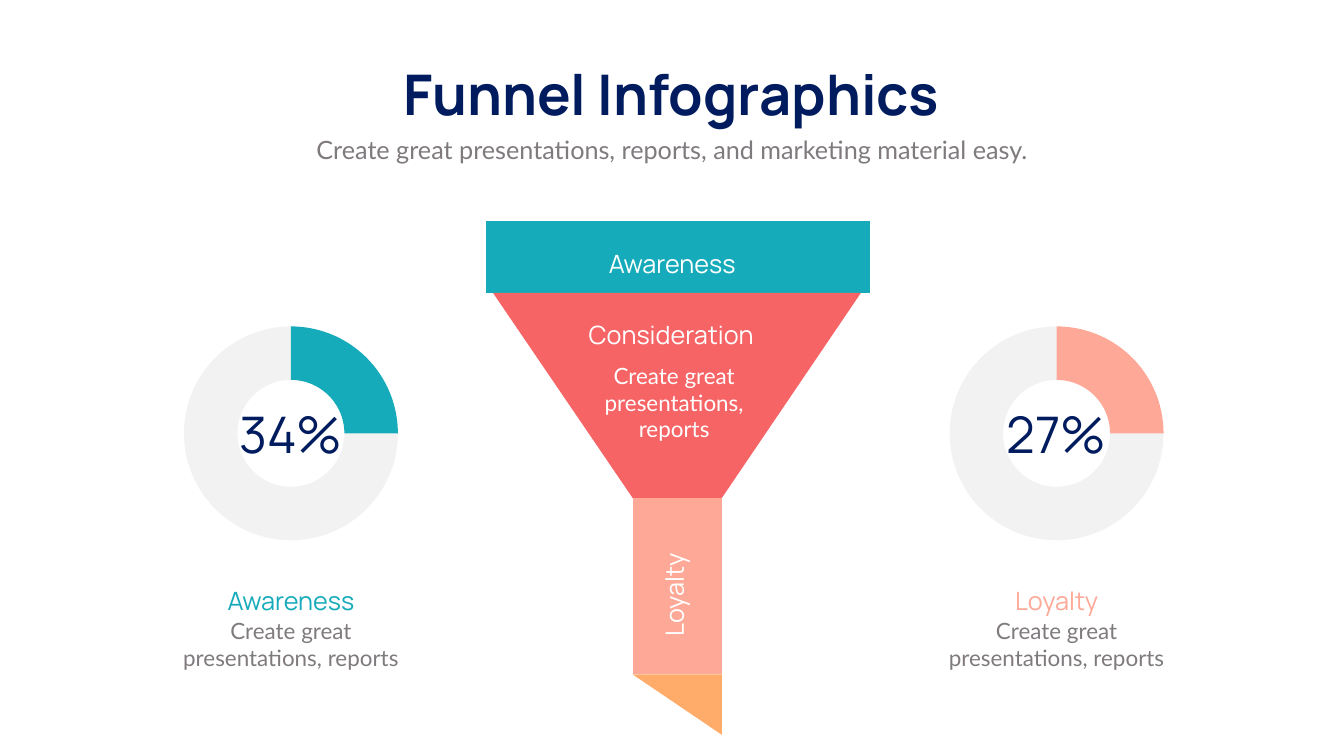
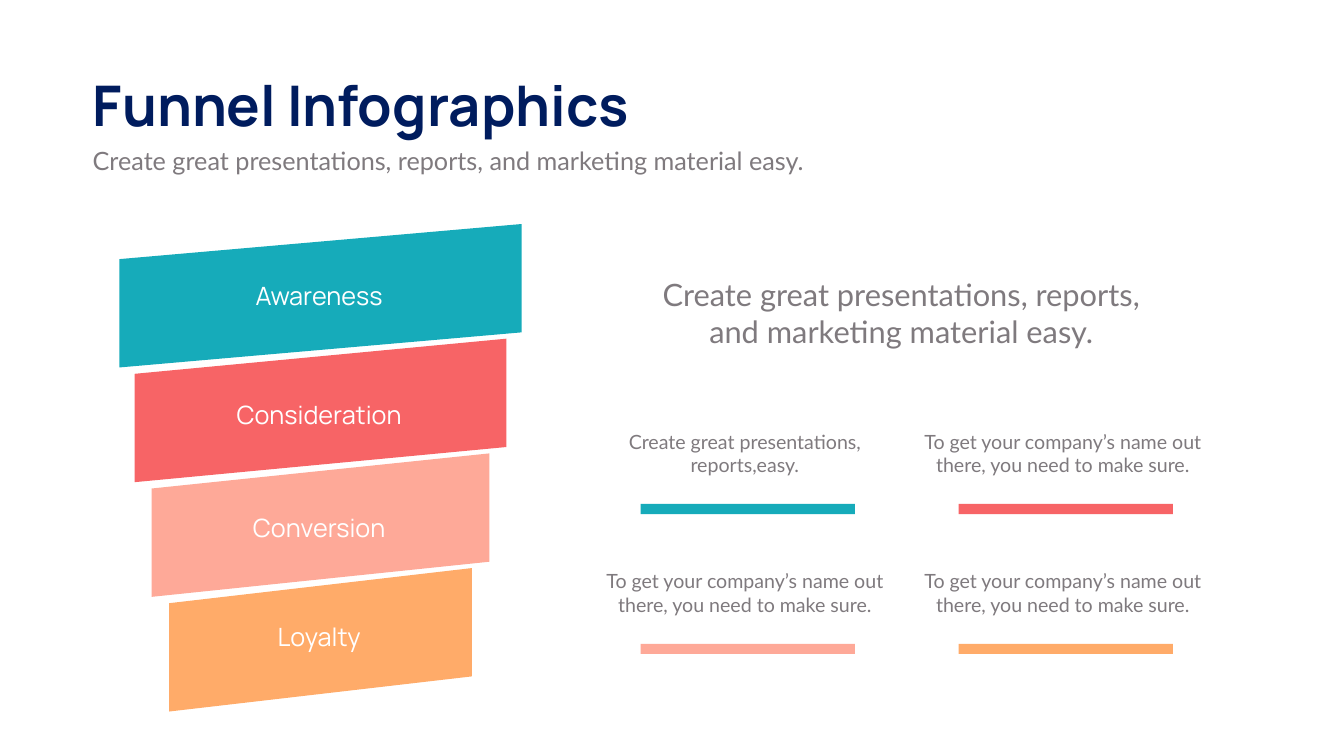
from dataclasses import dataclass

from lxml import etree
from pptx import Presentation
from pptx import util as u
from pptx.chart.data import CategoryChartData
from pptx.dml.color import RGBColor
from pptx.enum import chart, shapes, text
from pptx.oxml.ns import qn

Cm, Pt = u.Cm, u.Pt
CENTER, LEFT = text.PP_ALIGN.CENTER, text.PP_ALIGN.LEFT


@dataclass(frozen=True)
class Theme:
    teal: str = "16ABBA"
    coral: str = "F76466"
    salmon: str = "FEA998"
    orange: str = "FFAB69"
    navy: str = "001C5E"
    grey: str = "7F7A7E"
    track: str = "808080"
    white: str = "FFFFFF"
    heading_font: str = "Manrope"
    body_font: str = "Lato"
    chart_font: str = "Calibri"
    title_size: int = 80
    figure_size: int = 72
    lead_size: int = 44
    label_size: int = 36
    body_size: int = 32
    note_size: int = 28
    chart_size: int = 10


class Deck:
    def __init__(self, theme):
        self.theme = theme
        self.prs = Presentation()
        self.prs.slide_width, self.prs.slide_height = Cm(67.72), Cm(38.1)
        self.s = None

    def slide(self):
        self.s = self.prs.slides.add_slide(self.prs.slide_layouts[5])

    def set_text(self, sp, words, size, color, font, align=CENTER, bold=False,
                 wrap=True, spacing=None):
        tf = sp.text_frame
        tf.word_wrap = wrap
        tf.auto_size = text.MSO_AUTO_SIZE.NONE
        tf.vertical_anchor = text.MSO_ANCHOR.MIDDLE
        p = tf.paragraphs[0]
        p.text = words
        p.alignment = align
        if spacing:
            p.line_spacing = Pt(spacing)
        p.font.name, p.font.size, p.font.bold = font, Pt(size), bold
        p.font.color.rgb = RGBColor.from_string(color)

    def text(self, center, top, width, height, words, size, color, font,
             rotation=0, **style):
        sp = self.s.shapes.add_textbox(Cm(center - width / 2), Cm(top), Cm(width), Cm(height))
        sp.rotation = rotation
        self.set_text(sp, words, size, color, font, **style)

    def label(self, center, top, width, words, color=None, height=1.8, **style):
        t = self.theme
        self.text(center, top, width, height, words, t.label_size,
                  color or t.white, t.heading_font, **style)

    def body(self, center, top, width, height, words, size=None, color=None, **style):
        t = self.theme
        self.text(center, top, width, height, words, size or t.body_size,
                  color or t.grey, t.body_font, **style)

    def header(self, title_left, subtitle_left, top, align):
        t = self.theme
        sp = self.s.shapes.title
        sp.left, sp.top, sp.width, sp.height = Cm(title_left), Cm(top), Cm(29.74), Cm(3.68)
        self.set_text(sp, "Funnel Infographics", t.title_size, t.navy,
                      t.heading_font, align, bold=True, wrap=False)
        width = 52.88
        self.body(subtitle_left + width / 2, top + 3.78, width, 1.8,
                  "Create great presentations, reports, and marketing material easy.",
                  t.label_size, align=align)

    def paint(self, sp, color):
        sp.shadow.inherit = False
        sp.fill.solid()
        sp.fill.fore_color.rgb = RGBColor.from_string(color)
        sp.line.fill.background()

    def polygon(self, points, color):
        corners = [(Cm(x), Cm(y)) for x, y in points]
        builder = self.s.shapes.build_freeform(*corners[0], scale=1.0)
        builder.add_line_segments(corners[1:], close=True)
        self.paint(builder.convert_to_shape(), color)

    def bar(self, left, top, width, height, color):
        sp = self.s.shapes.add_shape(shapes.MSO_SHAPE.RECTANGLE,
                                     Cm(left), Cm(top), Cm(width), Cm(height))
        self.paint(sp, color)

    def doughnut(self, center, top, width, height, color):
        t = self.theme
        data = CategoryChartData()
        data.categories = ["1", "2"]
        data.add_series("Series 1", (25, 75))
        ch = self.s.shapes.add_chart(chart.XL_CHART_TYPE.DOUGHNUT, Cm(center - width / 2),
                                     Cm(top), Cm(width), Cm(height), data).chart
        ch.has_legend = ch.has_title = False
        ch.font.name, ch.font.size = t.chart_font, Pt(t.chart_size)
        ch.font.color.rgb = RGBColor.from_string(t.grey)
        plot = ch.plots[0]
        plot.vary_by_categories = True
        plot._element.find(qn("c:holeSize")).set("val", "80")
        for i, shade in enumerate((color, t.track)):
            fmt = plot.series[0].points[i].format
            fmt.fill.solid()
            fmt.fill.fore_color.rgb = RGBColor.from_string(shade)
            fmt.line.fill.background()
        track = plot.series[0].points[1].format.fill._xPr.find(".//" + qn("a:srgbClr"))
        etree.SubElement(track, qn("a:alpha")).set("val", "10000")


def funnel_with_doughnuts(deck):
    t = deck.theme
    deck.slide()
    deck.header(18.97, 7.42, 2.84, CENTER)

    for center, name, figure, color, label_width, body_width in (
            (14.66, "Awareness", "34%", t.teal, 8.64, 11.84),
            (53.24, "Loyalty", "27%", t.salmon, 7.52, 12.09)):
        deck.doughnut(center, 16.1, 11.84, 11.48, color)
        deck.text(center, 20.17, 10.74, 3.33, figure, t.figure_size, t.navy, t.heading_font)
        deck.label(center, 29.41, label_width, name, color, height=1.75, spacing=40.8)
        deck.body(center, 30.94, body_width, 3, "Create great presentations, reports")

    stem_left, stem_right = 31.88, 36.37
    rim, neck, foot = 14.76, 25.1, 33.99
    deck.polygon([(24.51, 11.12), (43.82, 11.12), (43.82, rim), (24.51, rim)], t.teal)
    deck.polygon([(24.84, rim), (43.38, rim), (stem_right, neck), (stem_left, neck)], t.coral)
    deck.polygon([(stem_left, neck), (stem_right, neck),
                  (stem_right, foot), (stem_left, foot)], t.salmon)
    deck.polygon([(stem_left, foot), (stem_right, foot), (stem_right, 37.03)], t.orange)

    deck.label(33.82, 15.95, 14.71, "Consideration")
    deck.label(33.87, 12.37, 10.54, "Awareness")
    deck.label(33.95, 29.08, 5.51, "Loyalty", rotation=270)
    deck.body(33.97, 18.08, 10.39, 4.37, "Create great presentations, reports", color=t.white)


def slanted_funnel(deck):
    t = deck.theme
    colors = (t.teal, t.coral, t.salmon, t.orange)
    deck.slide()
    deck.header(4.42, 4.42, 3.43, LEFT)

    axis, rise, thickness = 16.15, 1.77, 5.46
    stages = (("Awareness", 10.14, 13.97, 10.54), ("Consideration", 9.36, 19.99, 14.71),
              ("Conversion", 8.51, 25.7, 14.71), ("Loyalty", 7.63, 31.17, 5.51))
    for i, (name, half, label_top, label_width) in enumerate(stages):
        left, right, top = axis - half, axis + half, 13.06 + 5.78 * i
        deck.polygon([(left, top), (right, top - rise),
                      (right, top - rise + thickness), (left, top + thickness)], colors[i])
        deck.label(16.08, label_top, label_width, name)

    deck.body(45.42, 13.77, 24.59, 4.01,
              "Create great presentations, reports, and marketing material easy.", t.lead_size)
    advice = "To get your company’s name out there, you need to make sure."
    notes = ("Create great presentations, reports,easy.", advice, advice, advice)
    for i, (note, color) in enumerate(zip(notes, colors)):
        row, column = divmod(i, 2)
        dx, dy = 16.02 * column, 7.05 * row
        deck.body(37.53 + dx, 21.51 + dy, 14.71, 2.64, note, t.note_size)
        deck.bar(32.28 + dx, 25.4 + dy, 10.8, 0.51, color)


def main():
    deck = Deck(Theme())
    funnel_with_doughnuts(deck)
    slanted_funnel(deck)
    deck.prs.save("out.pptx")


if __name__ == "__main__":
    main()
